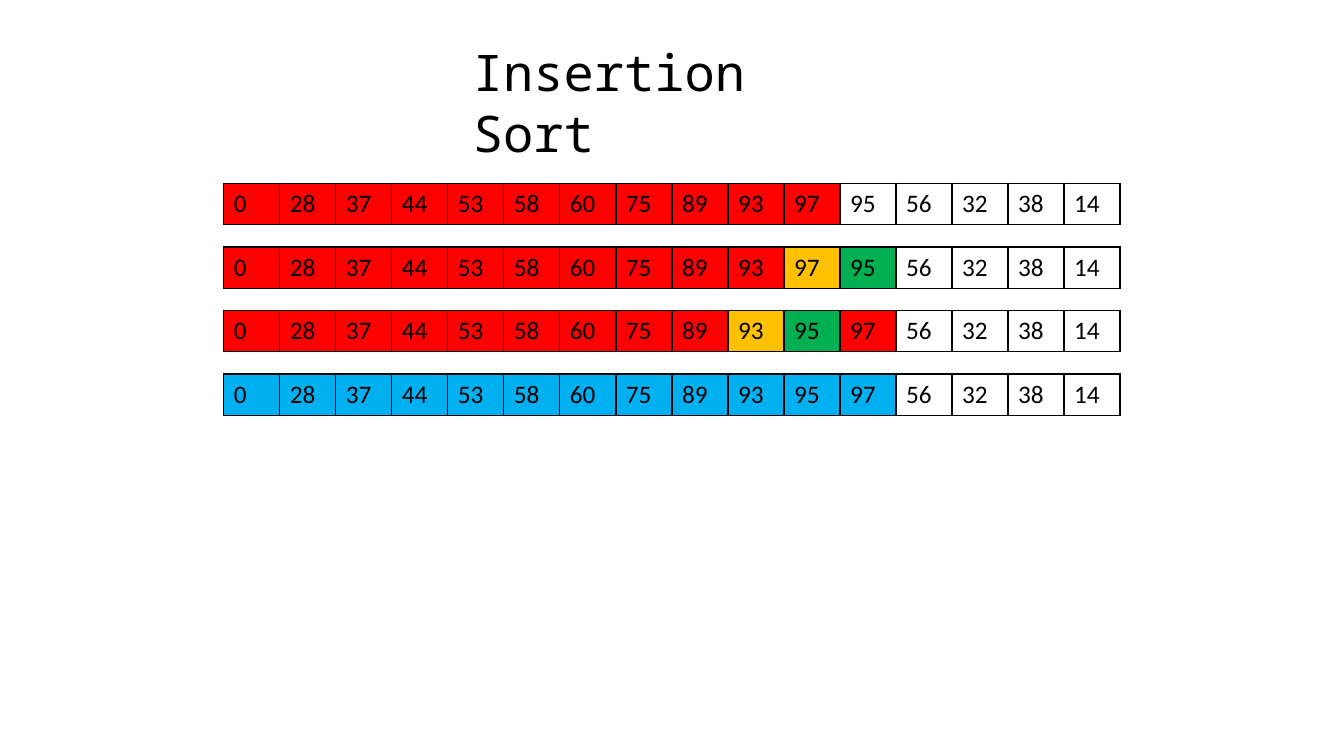
from dataclasses import dataclass

from lxml.etree import SubElement
from pptx import Presentation
from pptx.dml.color import RGBColor
from pptx.enum.text import MSO_ANCHOR, MSO_AUTO_SIZE, PP_ALIGN
from pptx.oxml.ns import qn
from pptx.slide import Slide
from pptx.table import _Cell
from pptx.util import Inches, Pt

COLORS = {
    "ink": "000000",
    "red": "FF0000",
    "amber": "FFC000",
    "green": "00B050",
    "blue": "00B0F0",
}
# One letter per cell; a dot leaves the cell unfilled
FILLS = {"R": "red", "A": "amber", "G": "green", "B": "blue"}

LEFT, TOP, STEP = 2.22, 1.82, 0.63
WIDTH, HEIGHT = 0.56, 0.41
TOTAL = 8.89


@dataclass
class Step:
    values: list[int]
    marks: str


HEAD = [0, 28, 37, 44, 53, 58, 60, 75, 89, 93]
TAIL = [56, 32, 38, 14]
BEFORE = HEAD + [97, 95] + TAIL
AFTER = HEAD + [95, 97] + TAIL

STEPS = [
    Step(BEFORE, "R" * 11 + "." * 5),
    Step(BEFORE, "R" * 10 + "AG" + "." * 4),
    Step(AFTER, "R" * 9 + "AGR" + "." * 4),
    Step(AFTER, "B" * 12 + "." * 4),
]


def color(name: str) -> RGBColor:
    return RGBColor.from_string(COLORS[name])


def add_title(slide: Slide, text: str) -> None:
    title = slide.shapes.title
    title.left, title.top = Inches(4.59), Inches(0.36)
    title.width, title.height = Inches(4.14), Inches(0.71)
    frame = title.text_frame
    frame.text = text
    frame.word_wrap = True
    frame.auto_size = MSO_AUTO_SIZE.NONE
    frame.vertical_anchor = MSO_ANCHOR.TOP
    line = frame.paragraphs[0]
    line.alignment = PP_ALIGN.LEFT
    line.font.name = "Noto Sans Mono"
    line.font.size = Pt(36)
    line.font.color.rgb = color("ink")


def add_border(cell: _Cell) -> None:
    props = cell._tc.get_or_add_tcPr()
    for side in ("a:lnL", "a:lnR", "a:lnT", "a:lnB"):
        edge = SubElement(props, qn(side), w=str(Pt(1)))
        fill = SubElement(edge, qn("a:solidFill"))
        SubElement(fill, qn("a:srgbClr"), val=COLORS["ink"])


def fill_cell(cell: _Cell, value: int, mark: str) -> None:
    cell.text = str(value)
    font = cell.text_frame.paragraphs[0].font
    font.name = "Calibri"
    font.size = Pt(18)
    font.bold = False
    font.color.rgb = color("ink")
    # Borders come before the fill in the cell properties
    add_border(cell)
    if mark in FILLS:
        cell.fill.solid()
        cell.fill.fore_color.rgb = color(FILLS[mark])
    else:
        cell.fill.background()


def add_step(slide: Slide, step: Step, top: float) -> None:
    count = len(step.values)
    table = slide.shapes.add_table(
        1, count, Inches(LEFT), Inches(top), Inches(TOTAL), Inches(HEIGHT)
    ).table
    table.first_row = False
    table.horz_banding = False
    for cell, value, mark in zip(table.iter_cells(), step.values, step.marks):
        fill_cell(cell, value, mark)


def main() -> None:
    deck = Presentation()
    deck.slide_width, deck.slide_height = Inches(13.33), Inches(7.5)
    slide = deck.slides.add_slide(deck.slide_layouts[5])

    # Title
    add_title(slide, "Insertion Sort")

    # One table for each step of the sort
    for index, step in enumerate(STEPS):
        add_step(slide, step, TOP + index * STEP)

    deck.save("out.pptx")


if __name__ == "__main__":
    main()
